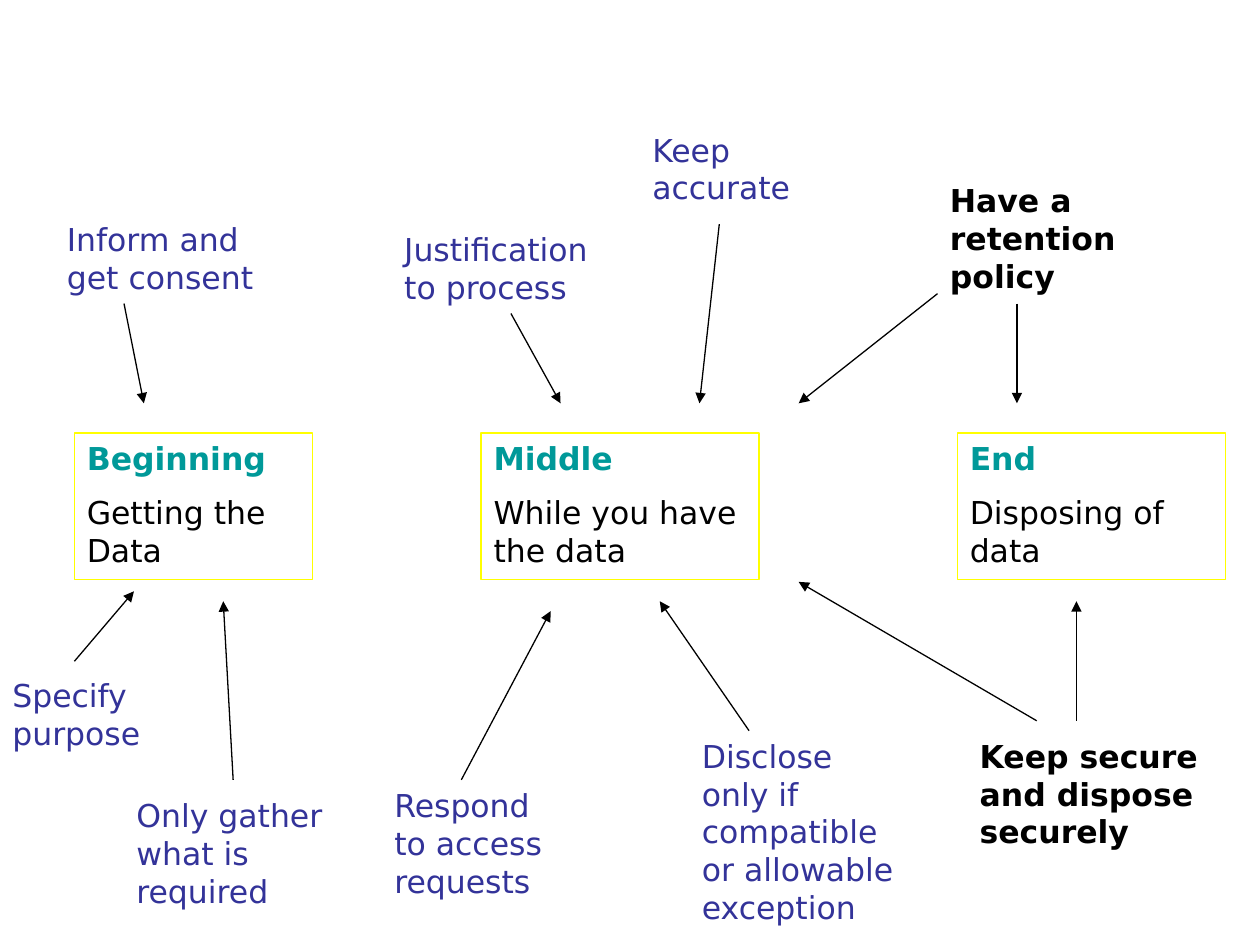
from lxml.etree import SubElement
from pptx import Presentation
from pptx.dml.color import RGBColor
from pptx.enum.shapes import MSO_CONNECTOR, MSO_SHAPE
from pptx.enum.text import MSO_ANCHOR, MSO_AUTO_SIZE, PP_ALIGN
from pptx.oxml.ns import qn
from pptx.util import Cm, Pt

FONT = "DejaVu Sans"
BLACK = RGBColor(0x00, 0x00, 0x00)
TEAL = RGBColor(0x00, 0x99, 0x99)
INDIGO = RGBColor(0x33, 0x33, 0x99)
YELLOW = RGBColor(0xFF, 0xFF, 0x00)


def write_text(paragraph, text, color=INDIGO, bold=False, space_before=0):
    paragraph.text = text
    paragraph.alignment = PP_ALIGN.LEFT
    paragraph.space_before = Pt(space_before)
    paragraph.font.name = FONT
    paragraph.font.size = Pt(18)
    paragraph.font.bold = bold
    paragraph.font.color.rgb = color


def prepare_frame(frame):
    frame.word_wrap = True
    frame.auto_size = MSO_AUTO_SIZE.SHAPE_TO_FIT_TEXT
    frame.vertical_anchor = MSO_ANCHOR.TOP
    return frame


prs = Presentation()
prs.slide_width = Cm(25.4)
prs.slide_height = Cm(19.05)
slide = prs.slides.add_slide(prs.slide_layouts[6])

# Stages of the data life cycle: name, description, left, width
stages = [
    ("Beginning", "Getting the Data", 1.5, 4.8),
    ("Middle", "While you have the data", 9.7, 5.6),
    ("End", "Disposing of data", 19.3, 5.4),
]
for name, description, left, width in stages:
    stage = slide.shapes.add_shape(
        MSO_SHAPE.RECTANGLE, Cm(left), Cm(8.73), Cm(width), Cm(2.95))
    stage.shadow.inherit = False
    stage.fill.background()
    stage.line.color.rgb = YELLOW
    stage.line.width = Pt(0.75)
    frame = prepare_frame(stage.text_frame)
    write_text(frame.paragraphs[0], name, color=TEAL, bold=True)
    write_text(frame.add_paragraph(), description, color=BLACK, space_before=9)

# Duties at each stage: text, left, top, width, height
duties = [
    ("Inform and get consent", 1.1, 4.32, 4.6, 1.78),
    ("Justification to process", 7.9, 4.52, 5, 1.78),
    ("Keep accurate", 12.9, 2.51, 3.4, 1.78),
    ("Specify purpose", 0, 13.51, 4, 1.78),
    ("Only gather what is required", 2.5, 15.93, 4.45, 2.54),
    ("Respond to access requests", 7.7, 15.72, 3.6, 2.54),
    ("Disclose only if compatible or allowable exception", 13.9, 14.73, 4.4, 4.06),
]
# Duties that span the middle and the end
shared_duties = [
    ("Have a retention policy", 18.9, 3.53, 4.2, 2.54),
    ("Keep secure and dispose securely", 19.5, 14.73, 5.9, 2.54),
]
for group, color, bold in ((duties, INDIGO, False), (shared_duties, BLACK, True)):
    for text, *place in group:
        duty = slide.shapes.add_textbox(*map(Cm, place))
        write_text(prepare_frame(duty.text_frame).paragraphs[0], text,
                   color=color, bold=bold)

# Arrows from duties to stages: start x, start y, end x, end y
arrows = [
    (2.5, 6.12, 2.9, 8.13),
    (10.3, 6.32, 11.3, 8.13),
    (14.5, 4.52, 14.1, 8.13),
    (18.9, 5.92, 16.1, 8.13),
    (20.5, 6.12, 20.5, 8.13),
    (1.5, 13.33, 2.7, 11.92),
    (4.7, 15.72, 4.5, 12.12),
    (9.3, 15.72, 11.1, 12.32),
    (15.1, 14.73, 13.3, 12.12),
    (20.9, 14.53, 16.1, 11.73),
    (21.7, 14.53, 21.7, 12.12),
]
for ends in arrows:
    arrow = slide.shapes.add_connector(MSO_CONNECTOR.STRAIGHT, *map(Cm, ends))
    arrow.line.color.rgb = BLACK
    arrow.line.width = Pt(0.75)
    SubElement(arrow.line._get_or_add_ln(), qn("a:tailEnd"), type="triangle")
    SubElement(arrow._element.spPr, qn("a:effectLst"))

prs.save("out.pptx")
